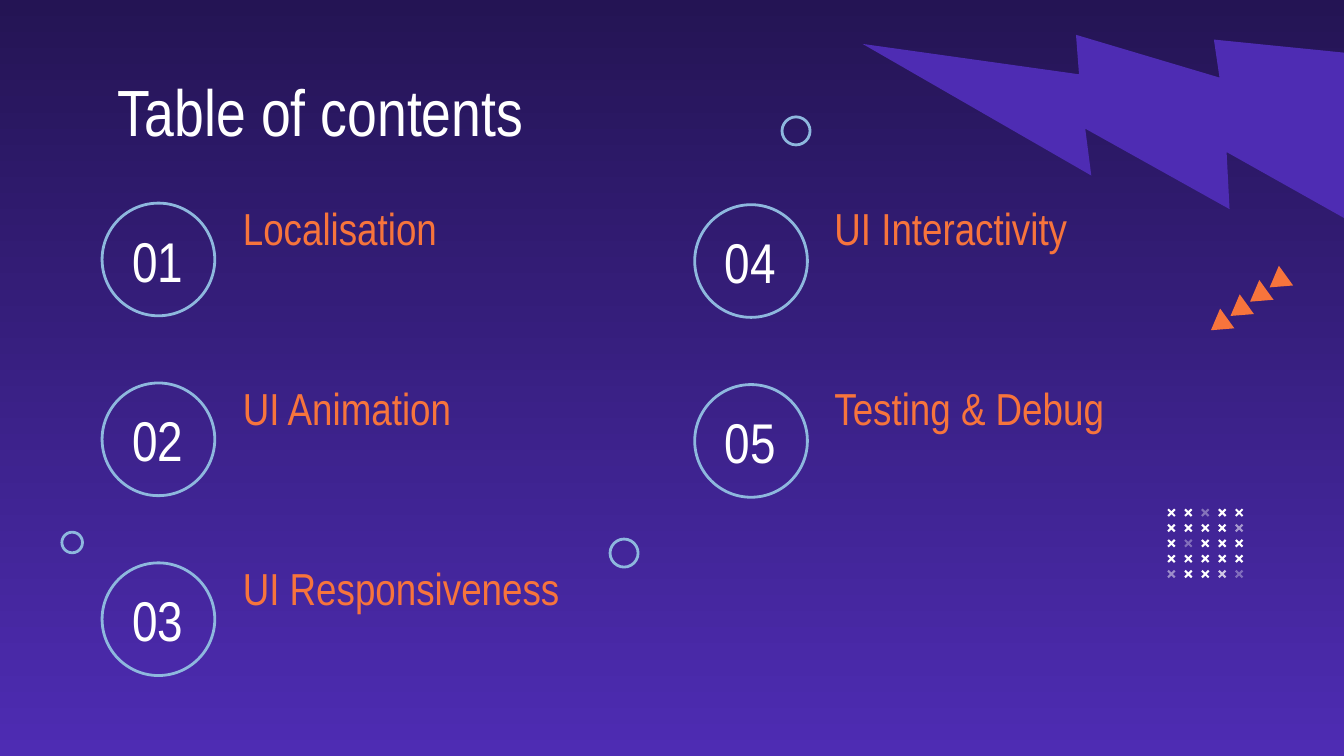
from lxml.etree import SubElement
from pptx import Presentation
from pptx.dml.color import RGBColor
from pptx.enum.shapes import MSO_SHAPE
from pptx.enum.text import MSO_ANCHOR, MSO_AUTO_SIZE, PP_ALIGN
from pptx.oxml.ns import qn
from pptx.util import Cm, Pt

COLORS = {
    "night": "241454",
    "violet": "4E2CB3",
    "orange": "F7743C",
    "sky": "8EB8DE",
    "white": "FFFFFF",
}
FONT = "Arial Narrow"

# Columns: ring left, ring top, label left, entries
COLUMNS = [
    (1.93, 3.84, 4.34, ["Localisation", "UI Animation", "UI Responsiveness"]),
    (13.13, 3.87, 15.52, ["UI Interactivity", "Testing & Debug"]),
]
LABEL_TOP = 3.84
ROW_PITCH = 3.4
RING_SIZE = 2.13

# Small rings: left, top, diameter
SMALL_RINGS = [(1.17, 10.06, 0.39), (14.78, 2.21, 0.53), (11.53, 10.19, 0.53)]

# Opacity in percent of the faded crosses, by (row, column)
FADED = {(0, 2): 36, (1, 4): 53, (2, 1): 34, (4, 0): 48, (4, 3): 75, (4, 4): 33}


def color(name):
    return RGBColor.from_string(COLORS[name])


def paint_background(page):
    fill = page.background.fill
    fill.gradient()
    fill.gradient_angle = 270
    for stop, name in zip(fill.gradient_stops, ("night", "violet")):
        stop.color.rgb = color(name)


def add_solid(page, kind, left, top, width, height, name, rotation):
    shape = page.shapes.add_shape(kind, Cm(left), Cm(top), Cm(width), Cm(height))
    shape.shadow.inherit = False
    shape.fill.solid()
    shape.fill.fore_color.rgb = color(name)
    shape.line.fill.background()
    shape.rotation = rotation
    return shape


def add_ring(page, left, top, size):
    ring = page.shapes.add_shape(
        MSO_SHAPE.OVAL, Cm(left), Cm(top), Cm(size), Cm(size))
    ring.shadow.inherit = False
    ring.fill.background()
    ring.line.color.rgb = color("sky")
    ring.line.width = Pt(1.5)


def set_text(box, text, size, name, align, anchor):
    frame = box.text_frame
    frame.word_wrap = True
    frame.auto_size = MSO_AUTO_SIZE.NONE
    frame.vertical_anchor = anchor
    frame.margin_left = frame.margin_right = Cm(0.25)
    frame.margin_top = frame.margin_bottom = Cm(0.25)
    para = frame.paragraphs[0]
    para.text = text
    para.alignment = align
    para.font.size = Pt(size)
    para.font.name = FONT
    para.font.color.rgb = color(name)


def add_text(page, left, top, width, height, text, size, name, align):
    box = page.shapes.add_textbox(Cm(left), Cm(top), Cm(width), Cm(height))
    set_text(box, text, size, name, align, MSO_ANCHOR.MIDDLE)


def set_title(page, text):
    title = page.shapes.title
    title.left, title.top = Cm(1.98), Cm(1.09)
    title.width, title.height = Cm(21.41), Cm(1.63)
    set_text(title, text, 35, "white", PP_ALIGN.LEFT, MSO_ANCHOR.TOP)


def add_bolt(page):
    bolt = add_solid(page, MSO_SHAPE.LIGHTNING_BOLT,
                     17.78, -1.73, 8.05, 8.05, "violet", 59.9)
    bolt.element.spPr.find(qn("a:xfrm")).set("flipH", "1")


def add_contents(page):
    number = 1
    for ring_left, ring_top, label_left, entries in COLUMNS:
        for row, entry in enumerate(entries):
            drop = row * ROW_PITCH
            add_ring(page, ring_left, ring_top + drop, RING_SIZE)
            add_text(page, ring_left - 0.08, ring_top + drop - 0.15, 2.26, 2.44,
                     f"{number:02d}", 30, "white", PP_ALIGN.CENTER)
            add_text(page, label_left, LABEL_TOP + drop, 8.66, 0.94,
                     entry, 24, "orange", PP_ALIGN.LEFT)
            number += 1


def add_crosses(page):
    for row in range(5):
        for column in range(5):
            cross = add_solid(page, MSO_SHAPE.CROSS, 22.05 + column * 0.32,
                              9.6 + row * 0.29, 0.18, 0.18, "white", 315)
            cross.adjustments[0] = 0.39
            if (row, column) in FADED:
                tint = cross.element.spPr.find(qn("a:solidFill"))[0]
                alpha = SubElement(tint, qn("a:alpha"))
                alpha.set("val", str(FADED[row, column] * 1000))


def add_triangles(page):
    for step in range(4):
        add_solid(page, MSO_SHAPE.ISOSCELES_TRIANGLE, 22.81 + step * 0.37,
                  5.94 - step * 0.27, 0.46, 0.38, "orange", 234.2)


def main():
    deck = Presentation()
    deck.slide_width, deck.slide_height = Cm(25.4), Cm(14.29)
    page = deck.slides.add_slide(deck.slide_layouts[5])

    # Background and headline
    paint_background(page)
    add_bolt(page)
    set_title(page, "Table of contents")

    # Numbered entries
    add_contents(page)

    # Decoration
    add_crosses(page)
    for left, top, size in SMALL_RINGS:
        add_ring(page, left, top, size)
    add_triangles(page)

    deck.save("out.pptx")


if __name__ == "__main__":
    main()
